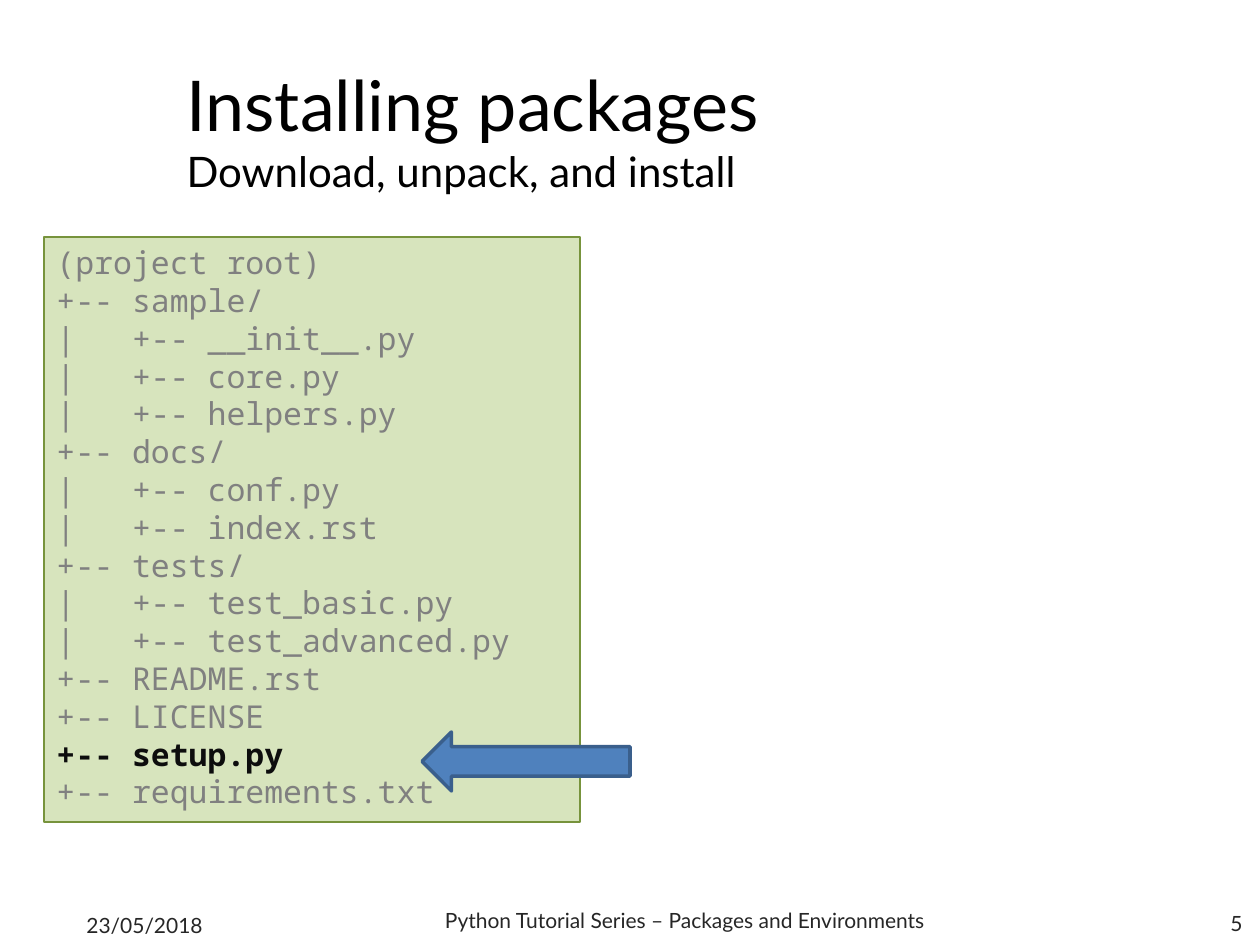
"""Build the slide on installing a downloaded Python package."""
from pptx import Presentation
from pptx.dml.color import RGBColor
from pptx.enum.shapes import MSO_SHAPE as SHAPE
from pptx.enum.text import MSO_ANCHOR as ANCHOR, PP_ALIGN as ALIGN
from pptx.util import Emu, Pt

COLORS = {
    "title": "000000", "footer": "262626",
    "panel": "D7E4BD", "panel_edge": "77933C",
    "muted": "808080", "strong": "0D0D0D",
    "arrow": "4F81BD", "arrow_edge": "3A5F8C",
}
TREE = """(project root)
+-- sample/
|   +-- __init__.py
|   +-- core.py
|   +-- helpers.py
+-- docs/
|   +-- conf.py
|   +-- index.rst
+-- tests/
|   +-- test_basic.py
|   +-- test_advanced.py
+-- README.rst
+-- LICENSE
+-- setup.py
+-- requirements.txt"""


def px(*lengths):
    return [Emu(round(length * 914400 / 126)) for length in lengths]


def style(paragraph, size, color, face="Lato", bold=False):
    for run in paragraph.runs:
        run.font.size = Pt(size)
        run.font.name = face
        run.font.bold = bold
        run.font.color.rgb = RGBColor.from_string(COLORS[color])


deck = Presentation()
deck.slide_width, deck.slide_height = px(1260, 945)
slide = deck.slides.add_slide(deck.slide_layouts[5])

title = slide.shapes.title
title.left, title.top, title.width, title.height = px(174, 55, 1023, 100)
title.text_frame.text = "Installing packages\nDownload, unpack, and install"
title.text_frame.vertical_anchor = ANCHOR.TOP
title.text_frame.word_wrap = True
for heading, size in zip(title.text_frame.paragraphs, (40, 24)):
    heading.alignment = ALIGN.LEFT
    style(heading, size, "title")

footers = [
    ("23/05/2018", (74, 900, 294, 50), ALIGN.LEFT, ANCHOR.MIDDLE),
    ("5", (961, 898, 294, 50), ALIGN.RIGHT, ANCHOR.MIDDLE),
    ("Python Tutorial Series – Packages and Environments",
     (397, 895, 576, 50), ALIGN.CENTER, ANCHOR.MIDDLE),
]
for wording, place, alignment, anchor in footers:
    footer = slide.shapes.add_textbox(*px(*place)).text_frame
    footer.word_wrap = True
    footer.vertical_anchor = anchor
    footer.text = wording
    footer.paragraphs[0].alignment = alignment
    style(footer.paragraphs[0], 12, "footer")

panel = slide.shapes.add_shape(SHAPE.RECTANGLE, *px(44, 237, 536, 585))
arrow = slide.shapes.add_shape(SHAPE.LEFT_ARROW, *px(422, 732, 208, 59))
for part, fill, edge, width in (
    (panel, "panel", "panel_edge", 0.75),
    (arrow, "arrow", "arrow_edge", 2),
):
    part.shadow.inherit = False
    part.fill.solid()
    part.fill.fore_color.rgb = RGBColor.from_string(COLORS[fill])
    part.line.color.rgb = RGBColor.from_string(COLORS[edge])
    part.line.width = Pt(width)

listing = panel.text_frame
listing.vertical_anchor = ANCHOR.TOP
listing.word_wrap = True
listing.text = TREE
for entry in listing.paragraphs:
    is_setup = "setup.py" in entry.text
    entry.alignment = ALIGN.LEFT
    entry.line_spacing = Pt(21.6)
    style(entry, 18, "strong" if is_setup else "muted", "Noto Sans Mono", is_setup)

deck.save("out.pptx")
